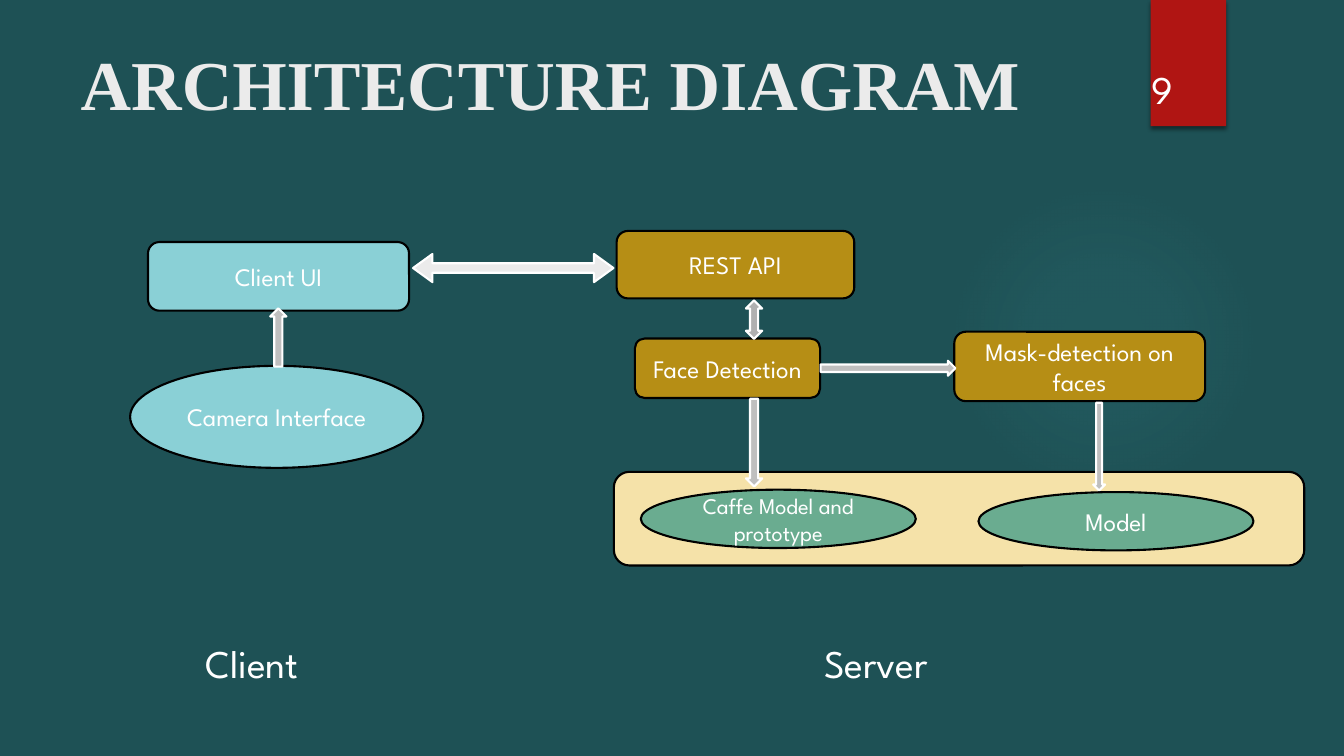
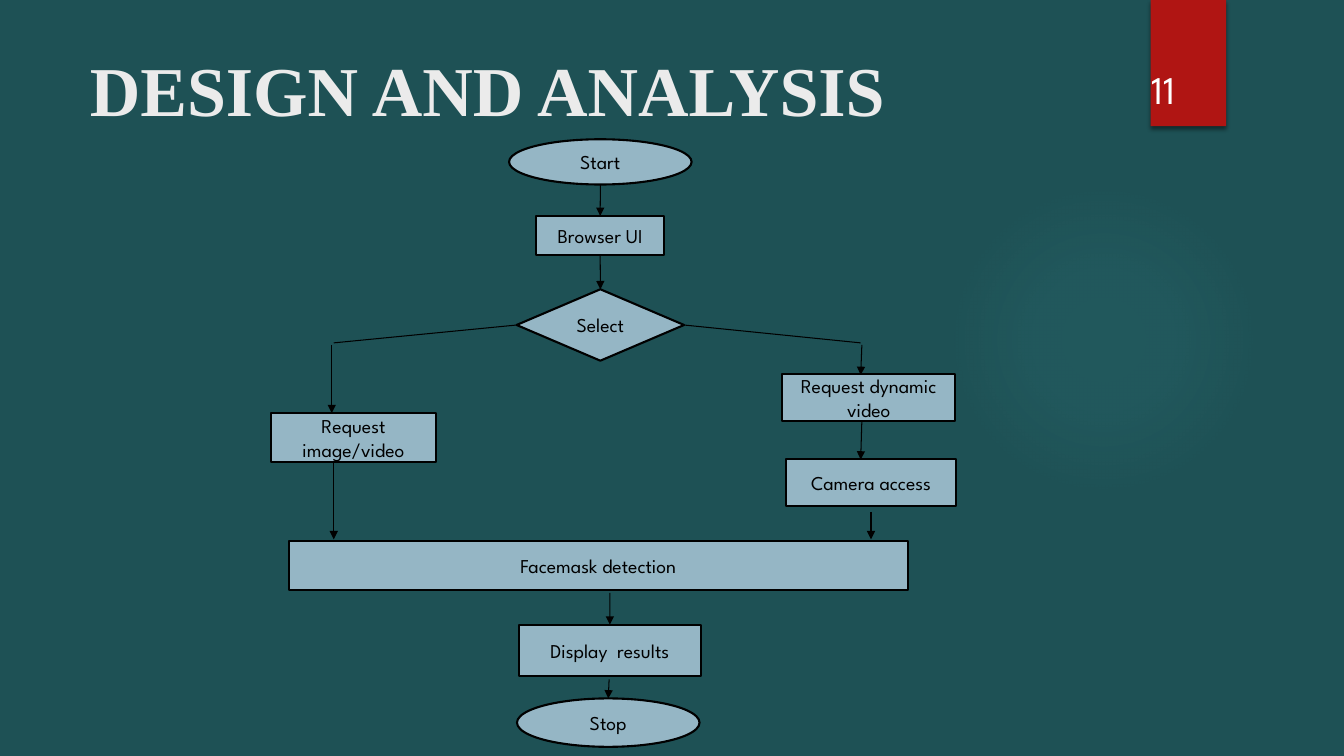
from pptx import Presentation
from pptx.dml.color import RGBColor
from pptx.enum.shapes import MSO_CONNECTOR, MSO_SHAPE
from pptx.enum.text import MSO_ANCHOR, PP_ALIGN
from pptx.oxml import parse_xml
from pptx.oxml.ns import nsdecls, qn
from pptx.util import Cm, Pt

OVAL = MSO_SHAPE.OVAL
RECT = MSO_SHAPE.RECTANGLE
ROUND = MSO_SHAPE.ROUNDED_RECTANGLE
CHOICE = MSO_SHAPE.FLOWCHART_DECISION
BOTH = MSO_SHAPE.LEFT_RIGHT_ARROW
TALL = MSO_SHAPE.UP_DOWN_ARROW
RIGHT = MSO_SHAPE.RIGHT_ARROW
DOWN = MSO_SHAPE.DOWN_ARROW
UP = MSO_SHAPE.UP_ARROW
STRAIGHT = MSO_CONNECTOR.STRAIGHT
LEFT, CENTER = PP_ALIGN.LEFT, PP_ALIGN.CENTER
TOP, MIDDLE, BOTTOM = MSO_ANCHOR.TOP, MSO_ANCHOR.MIDDLE, MSO_ANCHOR.BOTTOM

SANS, SERIF = "League Spartan", "Times New Roman"
TEAL, RED, BLACK, WHITE, PALE = "1E5155", "B01513", "000000", "FFFFFF", "EBEBEB"
AQUA, GOLD, CREAM, GREEN = "8AD0D6", "B68E15", "F5E2A9", "6AAC90"
STEEL, GREY, DIM = "95B6C5", "BFBFBF", "B0B0B0"

hue = RGBColor.from_string


def draw(slide, kind, place, fill, line=None):
    shape = slide.shapes.add_shape(kind, *map(Cm, place))
    shape.shadow.inherit = False
    shape.fill.solid()
    shape.fill.fore_color.rgb = hue(fill)
    if line:
        shape.line.color.rgb = hue(line)
        shape.line.width = Pt(1.5)
    else:
        shape.line.fill.background()
    return shape


def write(shape, text, size, color, align=CENTER, anchor=MIDDLE, face=SANS):
    frame = shape.text_frame
    frame.word_wrap = True
    frame.vertical_anchor = anchor
    frame.text = text
    para = frame.paragraphs[0]
    para.alignment = align
    para.font.name = face
    para.font.size = Pt(size)
    para.font.color.rgb = hue(color)
    return para


deck = Presentation()
deck.slide_width, deck.slide_height = Cm(33.87), Cm(19.05)
back = deck.slide_master.background.fill
back.solid()
back.fore_color.rgb = hue(TEAL)
layout = deck.slide_layouts[5]

pages = []
for title, place, number in [
    ("ARCHITECTURE DIAGRAM", (1.78, 0.94, 25.76, 2.36), "9"),
    ("DESIGN AND ANALYSIS", (2.01, 0.71, 26.14, 2.74), "11"),
]:
    page = deck.slides.add_slide(layout)
    head = page.shapes.title
    head.left, head.top, head.width, head.height = map(Cm, place)
    para = write(head, title, 50, PALE, LEFT, BOTTOM, SERIF)
    para.font.bold = True
    para.line_spacing = 0.9
    pages.append((page, number))
plan, flow = pages[0][0], pages[1][0]

glow = draw(plan, OVAL, (23.9, 4.65, 7.82, 7.82), AQUA)
stops = "".join(
    f'<a:gs pos="{spot * 1000}"><a:srgbClr val="50B9C1">'
    f'<a:alpha val="{alpha * 1000}"/></a:srgbClr></a:gs>'
    for spot, alpha in [(0, 7), (36, 6), (69, 0)]
)
props = glow.element.spPr
props.replace(props.find(qn("a:solidFill")), parse_xml(
    f'<a:gradFill {nsdecls("a")}><a:gsLst>{stops}</a:gsLst><a:path path="circle">'
    '<a:fillToRect l="50000" t="50000" r="50000" b="50000"/></a:path></a:gradFill>'
))
band = draw(plan, RECT, (29, 0, 1.9, 3.18), RED)
band.element.spPr.find(qn("a:effectLst")).append(parse_xml(
    f'<a:outerShdw {nsdecls("a")} blurRad="38100" dist="25400" dir="5400000">'
    '<a:srgbClr val="000000"><a:alpha val="45000"/></a:srgbClr></a:outerShdw>'
))
for shape in (glow, band):
    layout.shapes.element.append(shape.element)

for page, number in pages:
    box = page.shapes.add_textbox(Cm(28.77), Cm(0.83), Cm(2.34), Cm(2.13))
    write(box, number, 28, WHITE, LEFT, BOTTOM)

for text, kind, place, fill, size in [
    ("Camera Interface", OVAL, (3.28, 9.22, 7.39, 2.57), AQUA, 18),
    ("", ROUND, (15.47, 11.89, 17.4, 2.36), CREAM, 18),
    ("Caffe Model and prototype", OVAL, (16.15, 12.34, 6.93, 1.47), GREEN, 16),
    ("Face Detection", ROUND, (16, 8.53, 4.67, 1.5), GOLD, 18),
    ("Mask-detection on faces", ROUND, (24.05, 8.36, 6.32, 1.75), GOLD, 18),
    ("Model", OVAL, (24.66, 12.4, 6.93, 1.47), GREEN, 18),
    ("Client UI", ROUND, (3.73, 6.1, 6.58, 1.73), AQUA, 18),
    ("REST API", ROUND, (15.54, 5.82, 5.99, 1.7), GOLD, 18),
]:
    shape = draw(plan, kind, place, fill, BLACK)
    if text:
        write(shape, text, size, WHITE)

for text, left, width in [("Client", 4.93, 6.65), ("Server", 20.52, 4.39)]:
    box = plan.shapes.add_textbox(Cm(left), Cm(15.98), Cm(width), Cm(1.45))
    write(box, text, 28, WHITE, LEFT, TOP)

wide = draw(plan, BOTH, (10.41, 6.4, 5.05, 0.71), PALE, WHITE)
wide.adjustments[0], wide.adjustments[1] = 0.34, 0.69
for kind, place, fill in [
    (TALL, (18.8, 7.57, 0.41, 0.97), DIM),
    (RIGHT, (20.68, 9.09, 3.4, 0.38), GREY),
    (DOWN, (18.8, 10.05, 0.41, 2.21), GREY),
    (DOWN, (27.55, 10.15, 0.3, 2.21), GREY),
    (UP, (6.81, 7.77, 0.41, 1.47), GREY),
]:
    draw(plan, kind, place, fill, WHITE)

steps = {}
for name, text, kind, place in [
    ("start", "Start", OVAL, (12.83, 3.51, 4.6, 1.14)),
    ("page", "Browser UI", RECT, (13.51, 5.44, 3.23, 0.99)),
    ("select", "Select", CHOICE, (13.02, 7.29, 4.22, 1.8)),
    ("live", "Request dynamic video", RECT, (19.71, 9.42, 4.37, 1.19)),
    ("file", "Request image/video", RECT, (6.84, 10.41, 4.14, 1.24)),
    ("camera", "Camera access", RECT, (19.82, 11.57, 4.27, 1.19)),
    ("detect", "Facemask detection", RECT, (7.28, 13.63, 15.6, 1.24)),
    ("show", "Display  results", RECT, (13.07, 15.74, 4.6, 1.3)),
    ("stop", "Stop", OVAL, (13.03, 17.6, 4.6, 1.22)),
]:
    steps[name] = draw(flow, kind, place, STEEL, BLACK)
    write(steps[name], text, 14, BLACK)

for ends, start, stop, arrow in [
    ((15.13, 4.65, 15.13, 5.44), None, ("page", 0), True),
    ((15.13, 6.43, 15.13, 7.29), ("page", 2), ("select", 0), True),
    ((17.24, 8.19, 21.69, 8.64), ("select", 3), None, False),
    ((21.72, 8.69, 21.69, 9.45), None, None, True),
    ((13.02, 8.19, 8.41, 8.64), ("select", 1), None, False),
    ((8.36, 8.69, 8.36, 10.41), None, None, True),
    ((8.41, 11.66, 8.41, 13.59), None, None, True),
    ((21.72, 10.59, 21.69, 11.58), None, None, True),
    ((21.95, 12.9, 21.95, 13.59), None, None, True),
    ((15.37, 14.94, 15.37, 15.74), None, ("show", 0), True),
    ((15.35, 17.12, 15.33, 17.6), None, ("stop", 0), True),
]:
    link = flow.shapes.add_connector(STRAIGHT, *map(Cm, ends))
    if start:
        link.begin_connect(steps[start[0]], start[1])
    if stop:
        link.end_connect(steps[stop[0]], stop[1])
    link.line.color.rgb = hue(BLACK)
    link.line.width = Pt(0.75)
    props = link.element.spPr
    if arrow:
        props.find(qn("a:ln")).append(
            parse_xml(f'<a:tailEnd {nsdecls("a")} type="triangle"/>')
        )
    props.append(parse_xml(f'<a:effectLst {nsdecls("a")}/>'))

deck.save("out.pptx")
